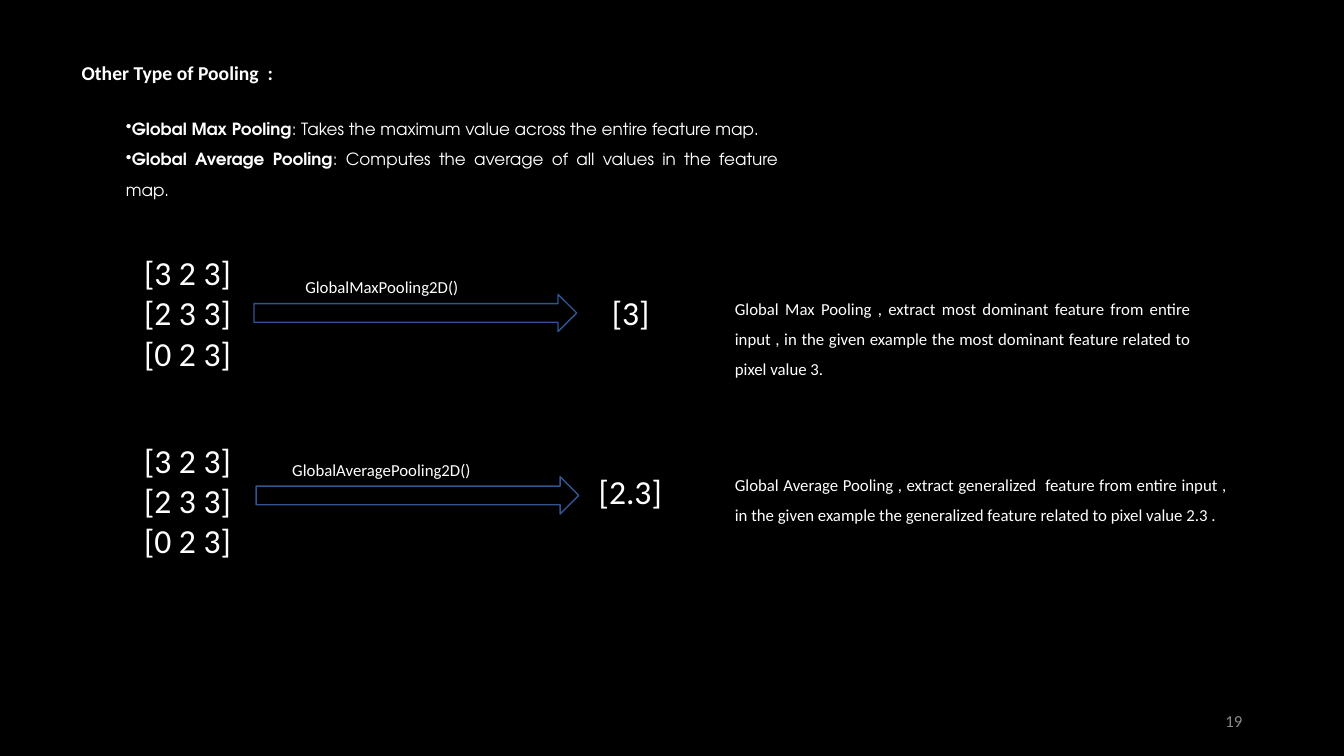
from pptx import Presentation
from pptx.dml.color import RGBColor
from pptx.enum.shapes import MSO_SHAPE
from pptx.enum.text import MSO_ANCHOR, MSO_AUTO_SIZE, PP_ALIGN
from pptx.oxml.ns import qn
from pptx.util import Inches, Pt
from lxml import etree

BLACK, WHITE, GRAY, BLUE = "000000", "FFFFFF", "8C8C8C", "325491"
BODY_FONT, LIST_FONT = "Calibri", "TeX Gyre Adventor"
MATRIX = ["[3 2 3]", "[2 3 3]", "[0 2 3]"]


def color(hex_text):
    return RGBColor.from_string(hex_text)


def place(shape, box):
    shape.left, shape.top, shape.width, shape.height = map(Inches, box)


def format_paragraph(paragraph, size=12, font=BODY_FONT, hex_text=WHITE,
                     align=PP_ALIGN.LEFT, spacing=1.0):
    paragraph.alignment = align
    paragraph.line_spacing = spacing
    paragraph.font.size = Pt(size)
    paragraph.font.name = font
    paragraph.font.color.rgb = color(hex_text)


def add_text(slide, box, lines, wrap=True, **style):
    shape = slide.shapes.add_textbox(*map(Inches, box))
    frame = shape.text_frame
    frame.word_wrap = wrap
    frame.text = "\n".join(lines)
    for paragraph in frame.paragraphs:
        format_paragraph(paragraph, **style)
    return shape


def add_title(slide, box, text):
    title = slide.shapes.title
    place(title, box)
    frame = title.text_frame
    frame.text = text
    frame.word_wrap = True
    frame.auto_size = MSO_AUTO_SIZE.NONE
    frame.vertical_anchor = MSO_ANCHOR.TOP
    paragraph = frame.paragraphs[0]
    format_paragraph(paragraph, size=14, align=PP_ALIGN.JUSTIFY)
    paragraph.font.bold = True


def add_definitions(slide, box, definitions):
    frame = slide.shapes.add_textbox(*map(Inches, box)).text_frame
    frame.word_wrap = True
    for index, (term, meaning) in enumerate(definitions):
        paragraph = frame.paragraphs[0] if index == 0 else frame.add_paragraph()
        properties = paragraph._p.get_or_add_pPr()
        etree.SubElement(properties, qn("a:buChar")).set("char", "•")
        term_run = paragraph.add_run()
        term_run.text = term
        term_run.font.bold = True
        paragraph.add_run().text = meaning
        format_paragraph(paragraph, font=LIST_FONT, align=PP_ALIGN.JUSTIFY, spacing=1.5)


def add_arrow(slide, box):
    arrow = slide.shapes.add_shape(MSO_SHAPE.RIGHT_ARROW, *map(Inches, box))
    arrow.shadow.inherit = False
    arrow.fill.solid()
    arrow.fill.fore_color.rgb = color(BLACK)
    arrow.line.color.rgb = color(BLUE)
    arrow.line.width = Pt(1)


def add_example(slide, left, top, arrow, label, result, note):
    """Matrix, labelled arrow, result and note; offsets are from left and top."""
    def box(x, y, width, height):
        return left + x, top + y, width, height

    add_text(slide, box(0, 0, 1.28, 1.31), MATRIX, size=24)
    # Operation
    arrow_x, arrow_y = arrow
    add_arrow(slide, box(arrow_x, arrow_y, 3.2, 0.37))
    label_text, label_x, label_width = label
    add_text(slide, box(label_x, arrow_y - 0.22, label_width, 0.3), [label_text],
             wrap=False, align=PP_ALIGN.JUSTIFY)
    # Result and explanation
    result_text, result_x, result_y = result
    add_text(slide, box(result_x, result_y, 1.76, 0.5), [result_text], size=24)
    note_text, note_y, note_width, note_height = note
    add_text(slide, box(5.86, note_y, note_width, note_height), [note_text],
             align=PP_ALIGN.JUSTIFY, spacing=1.5)


def add_page_number(slide, box, number):
    shape = add_text(slide, box, [number], hex_text=GRAY, align=PP_ALIGN.RIGHT)
    shape.text_frame.vertical_anchor = MSO_ANCHOR.MIDDLE


def main():
    presentation = Presentation()
    presentation.slide_width, presentation.slide_height = Inches(13.33), Inches(7.5)
    slide = presentation.slides.add_slide(presentation.slide_layouts[5])
    slide.background.fill.solid()
    slide.background.fill.fore_color.rgb = color(BLACK)

    # Heading and definitions
    add_title(slide, (0.71, 0.55, 6.19, 0.34), "Other Type of Pooling  :")
    add_definitions(slide, (1.15, 1.03, 6.67, 0.98), [
        ("Global Max Pooling",
         ": Takes the maximum value across the entire feature map."),
        ("Global Average Pooling",
         ": Computes the average of all values in the feature map."),
    ])

    # Worked examples
    add_example(
        slide, 1.33, 2.45, (1.19, 0.47),
        ("GlobalMaxPooling2D()", 1.6, 1.74), ("[3]", 4.64, 0.4),
        ("Global Max Pooling , extract most dominant feature from entire input , "
         "in the given example the most dominant feature related to pixel value 3.",
         0.36, 4.72, 0.98))
    add_example(
        slide, 1.33, 4.31, (1.21, 0.42),
        ("GlobalAveragePooling2D()", 1.47, 1.99), ("[2.3]", 4.51, 0.31),
        ("Global Average Pooling , extract generalized  feature from entire input , "
         "in the given example the generalized feature related to pixel value 2.3 .",
         0.25, 5.08, 0.68))

    add_page_number(slide, (9.42, 6.95, 3, 0.4), "19")
    presentation.save("out.pptx")


if __name__ == "__main__":
    main()
